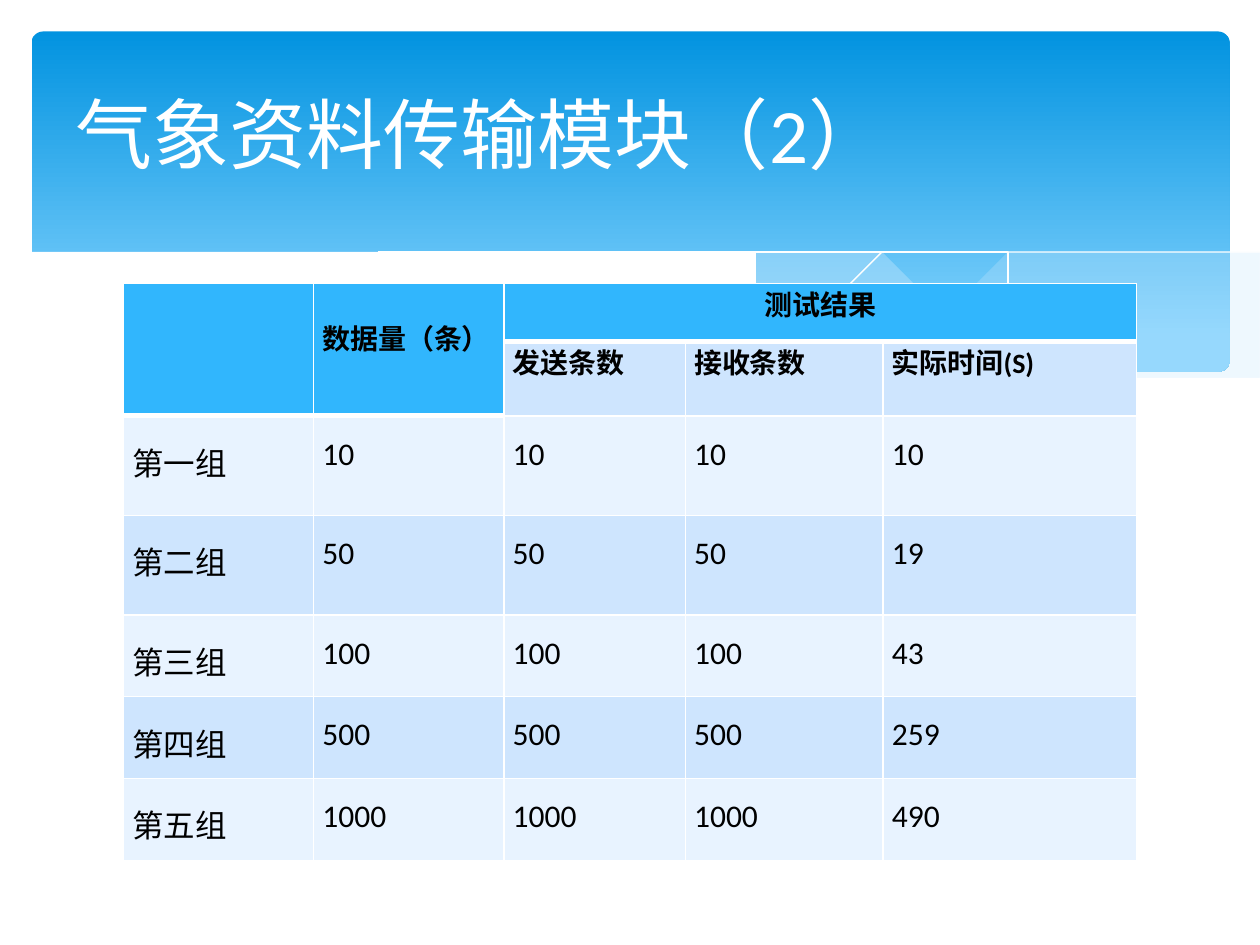
from lxml import etree
from pptx import Presentation
from pptx.dml.color import RGBColor
from pptx.enum import shapes, text
from pptx.oxml import ns
from pptx.util import Inches, Pt

WHITE = RGBColor(0xFF, 0xFF, 0xFF)
BLACK = RGBColor(0, 0, 0)
SKY_TOP = RGBColor(0x02, 0x93, 0xE0)
SKY_BOTTOM = RGBColor(0x83, 0xD3, 0xFE)
MIST = RGBColor(0xC6, 0xE7, 0xFC)
HEADER = RGBColor(0x31, 0xB6, 0xFD)
BAND_DARK = RGBColor(0xCE, 0xE5, 0xFE)
BAND_LIGHT = RGBColor(0xE8, 0xF3, 0xFF)
FONT = "Calibri"

COLUMNS = [1.51, 1.51, 1.44, 1.57, 2.01]
ROWS = [0.46, 0.59, 0.79, 0.79, 0.65, 0.65, 0.65]
RESULT_HEADS = ["发送条数", "接收条数", "实际时间(S)"]
GROUPS = [("第一组", 10, 10), ("第二组", 50, 19), ("第三组", 100, 43),
          ("第四组", 500, 259), ("第五组", 1000, 490)]

RIGHT_WAVE = [
    [(9.76, 2), (9.35, 2.07), (8.61, 2.23), (7.79, 2.42), (7.29, 2.53), (6.61, 2.65)],
    [(6.61, 2.65), (7.05, 2.71), (7.57, 2.76), (8.03, 2.78), (8.54, 2.76),
     (8.97, 2.7), (9.35, 2.62), (9.76, 2.47)]]
MIDDLE_WAVE = [
    [(8.93, 2.73), (8.37, 2.65), (7.75, 2.54), (7.06, 2.4), (6.29, 2.22),
     (5.69, 2.08), (5.14, 1.98), (4.65, 1.91), (4.2, 1.87), (3.61, 1.85),
     (3.28, 1.87), (2.86, 1.91)],
    [(2.86, 1.91), (3.42, 1.99), (4.04, 2.11), (4.91, 2.32), (5.66, 2.48),
     (6.34, 2.61), (6.95, 2.7), (7.48, 2.76), (7.96, 2.78), (8.48, 2.77), (8.93, 2.73)]]
LEFT_LINE = [[(3.09, 1.95), (3.53, 1.89), (4.01, 1.87), (4.5, 1.88), (5.1, 1.92),
              (5.82, 2), (6.65, 2.13), (7.6, 2.33), (8.31, 2.51), (9.07, 2.72)]]
RIGHT_LINE = [[(6.13, 2.57), (6.72, 2.41), (7.48, 2.23), (8.36, 2.04),
               (8.95, 1.94), (9.38, 1.88), (9.75, 1.85)]]
FRONT_WAVE = [
    [(9.77, 2.46), (9.4, 2.59), (8.99, 2.69), (8.5, 2.75), (8.09, 2.77),
     (7.61, 2.75), (7.08, 2.7), (6.48, 2.62), (5.79, 2.5), (5.03, 2.33),
     (4.47, 2.2), (3.91, 2.07), (3.4, 1.97), (2.92, 1.9), (2.5, 1.86),
     (2.11, 1.84), (1.77, 1.84), (1.32, 1.86), (0.95, 1.91), (0.59, 1.99),
     (0.36, 2.07), (0.23, 2.13)],
    [(0.23, 3.29), (9.77, 3.29)]]


def smooth(points, steps=4):
    """Return points along a Catmull-Rom curve through the given points."""
    if len(points) < 3:
        return points
    padded = [points[0], *points, points[-1]]
    curve = [points[0]]
    for a, b, c, d in zip(padded, padded[1:], padded[2:], padded[3:]):
        for step in range(1, steps + 1):
            t = step / steps
            curve.append(tuple(
                (2 * q + (r - p) * t + (2 * p - 5 * q + 4 * r - s) * t ** 2
                 + (3 * q - p - 3 * r + s) * t ** 3) / 2
                for p, q, r, s in zip(a, b, c, d)))
    return curve


def add_sky(slide):
    sky = slide.shapes.add_shape(shapes.MSO_SHAPE.ROUNDED_RECTANGLE, Inches(0.25),
                                 Inches(0.25), Inches(9.51), Inches(2.7))
    sky.adjustments[0] = 0.034
    sky.shadow.inherit = False
    sky.line.fill.background()
    sky.fill.gradient()
    sky.fill.gradient_angle = 270
    for stop, position, color in zip(sky.fill.gradient_stops, (0, 0.9),
                                     (SKY_TOP, SKY_BOTTOM)):
        stop.position = position
        stop.color.rgb = color


def add_outline(group, curves, closed):
    points = [point for curve in curves for point in smooth(curve)]
    builder = group.shapes.build_freeform(*points[0], scale=Inches(1))
    builder.add_line_segments(points[1:], close=closed)
    outline = builder.convert_to_shape()
    outline.shadow.inherit = False
    return outline


def add_wave(group, curves, color, opacity=100):
    wave = add_outline(group, curves, True)
    wave.line.fill.background()
    wave.fill.solid()
    wave.fill.fore_color.rgb = color
    if opacity < 100:
        tint = wave._element.spPr.find(".//" + ns.qn("a:srgbClr"))
        etree.SubElement(tint, ns.qn("a:alpha"), val=str(opacity * 1000))


def add_hairline(group, curves):
    hairline = add_outline(group, curves, False)
    hairline.fill.background()
    hairline.line.color.rgb = WHITE
    hairline.line.width = Pt(0)


def write(frame, words, align, size, color, bold=False, spacing=None):
    para = frame.paragraphs[0]
    para.alignment = align
    para.line_spacing = spacing
    span = para.add_run()
    span.text = words
    span.font.color.rgb = color
    for name, value in {"name": FONT, "size": Pt(size), "bold": bold}.items():
        setattr(span.font, name, value)


def place_title(slide):
    title = slide.shapes.title
    for name, value in {"left": 0.5, "top": 0.37, "width": 9, "height": 1.37}.items():
        setattr(title, name, Inches(value))
    title.text_frame.vertical_anchor = text.MSO_ANCHOR.MIDDLE
    write(title.text_frame, "气象资料传输模块（2）", text.PP_ALIGN.LEFT, 44, WHITE)
    slide.shapes._spTree.append(title._element)  # in front of the sky


def style_cell(cell, color, bottom=1):
    """Fill a cell, set its insets and draw white borders."""
    for side, inset in {"left": 0.07, "right": 0.07, "top": 0, "bottom": 0}.items():
        setattr(cell, "margin_" + side, Inches(inset))
    cell.fill.solid()
    cell.fill.fore_color.rgb = color
    props = cell._tc.get_or_add_tcPr()
    for index, (side, width) in enumerate(zip("LRTB", (1, 1, 1, bottom))):
        border = etree.Element(ns.qn("a:ln" + side), w=str(Pt(width)))
        fill = etree.SubElement(border, ns.qn("a:solidFill"))
        etree.SubElement(fill, ns.qn("a:srgbClr"), val=str(WHITE))
        props.insert(index, border)


def add_results(slide):
    table = slide.shapes.add_table(len(ROWS), len(COLUMNS), Inches(0.98), Inches(2.25),
                                   Inches(sum(COLUMNS)), Inches(sum(ROWS))).table
    table.first_row = table.horz_banding = False
    for column, width in zip(table.columns, COLUMNS):
        column.width = Inches(width)
    for row, height in zip(table.rows, ROWS):
        row.height = Inches(height)

    for r in range(len(ROWS)):
        for c in range(len(COLUMNS)):
            header = r == 0 or (r == 1 and c < 2)
            band = BAND_DARK if r % 2 else BAND_LIGHT
            style_cell(table.cell(r, c), HEADER if header else band, 3 if header else 1)
    for first, last in (((0, 0), (1, 0)), ((0, 1), (1, 1)), ((0, 2), (0, 4))):
        table.cell(*first).merge(table.cell(*last))

    table.cell(0, 1).margin_top = Inches(0.27)
    justify, center = text.PP_ALIGN.JUSTIFY, text.PP_ALIGN.CENTER
    heads = [(0, 1, "数据量（条）", justify), (0, 2, "测试结果", center)]
    heads += [(1, c, words, justify) for c, words in enumerate(RESULT_HEADS, 2)]
    for r, c, words, align in heads:
        write(table.cell(r, c).text_frame, words, align, 16, BLACK, bold=True)
    for r, (name, count, seconds) in enumerate(GROUPS, 2):
        for c, value in enumerate((name, count, count, count, seconds)):
            write(table.cell(r, c).text_frame, str(value), justify, 18, BLACK, spacing=1.5)


def main():
    deck = Presentation()
    deck.slide_width, deck.slide_height = Inches(10), Inches(7.5)
    slide = deck.slides.add_slide(deck.slide_layouts[5])
    add_sky(slide)
    waves = slide.shapes.add_group_shape()
    add_wave(waves, RIGHT_WAVE, MIST, 29)
    add_wave(waves, MIDDLE_WAVE, MIST, 40)
    add_hairline(waves, LEFT_LINE)
    add_hairline(waves, RIGHT_LINE)
    add_wave(waves, FRONT_WAVE, WHITE)
    place_title(slide)
    add_results(slide)
    deck.save("out.pptx")


if __name__ == "__main__":
    main()
